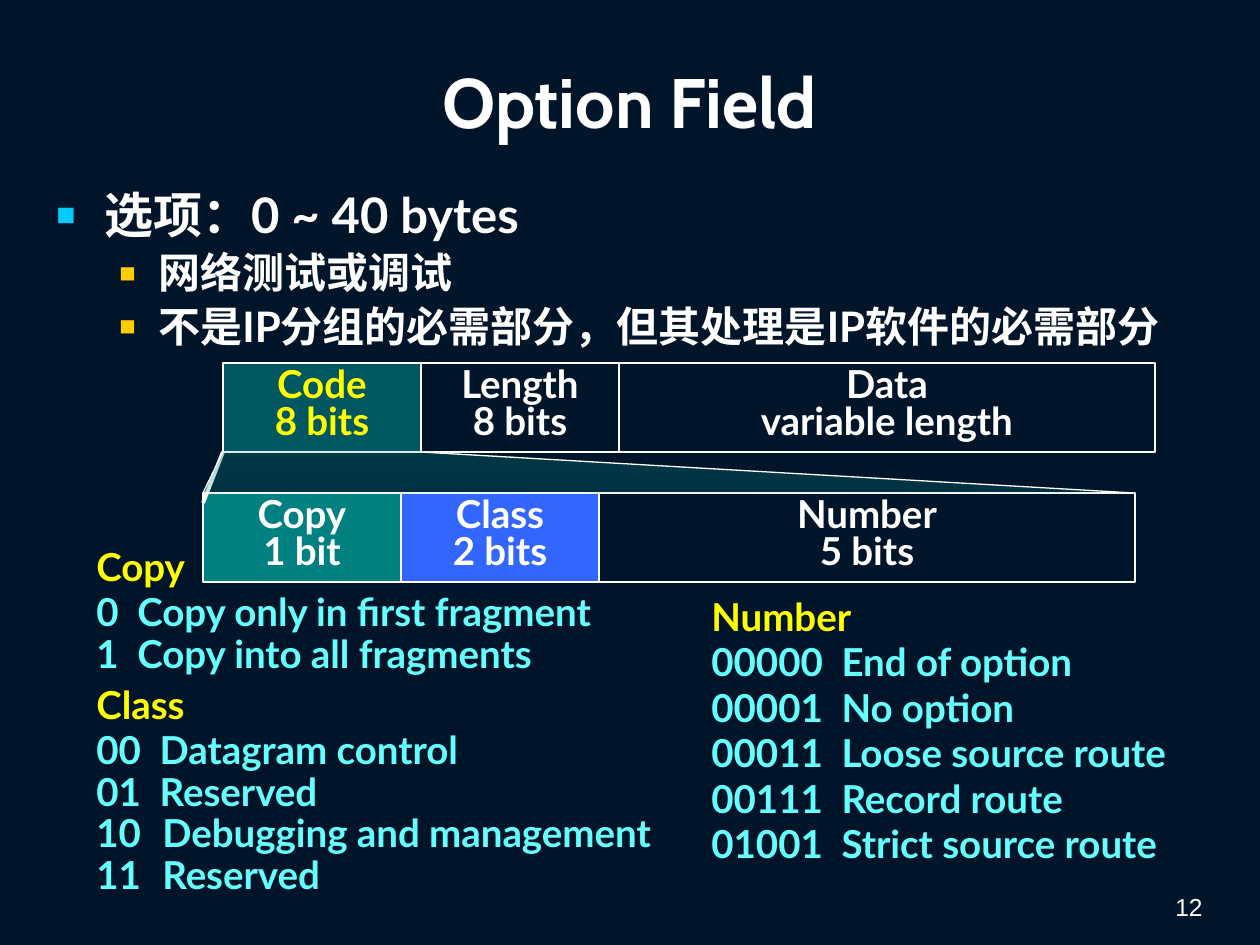
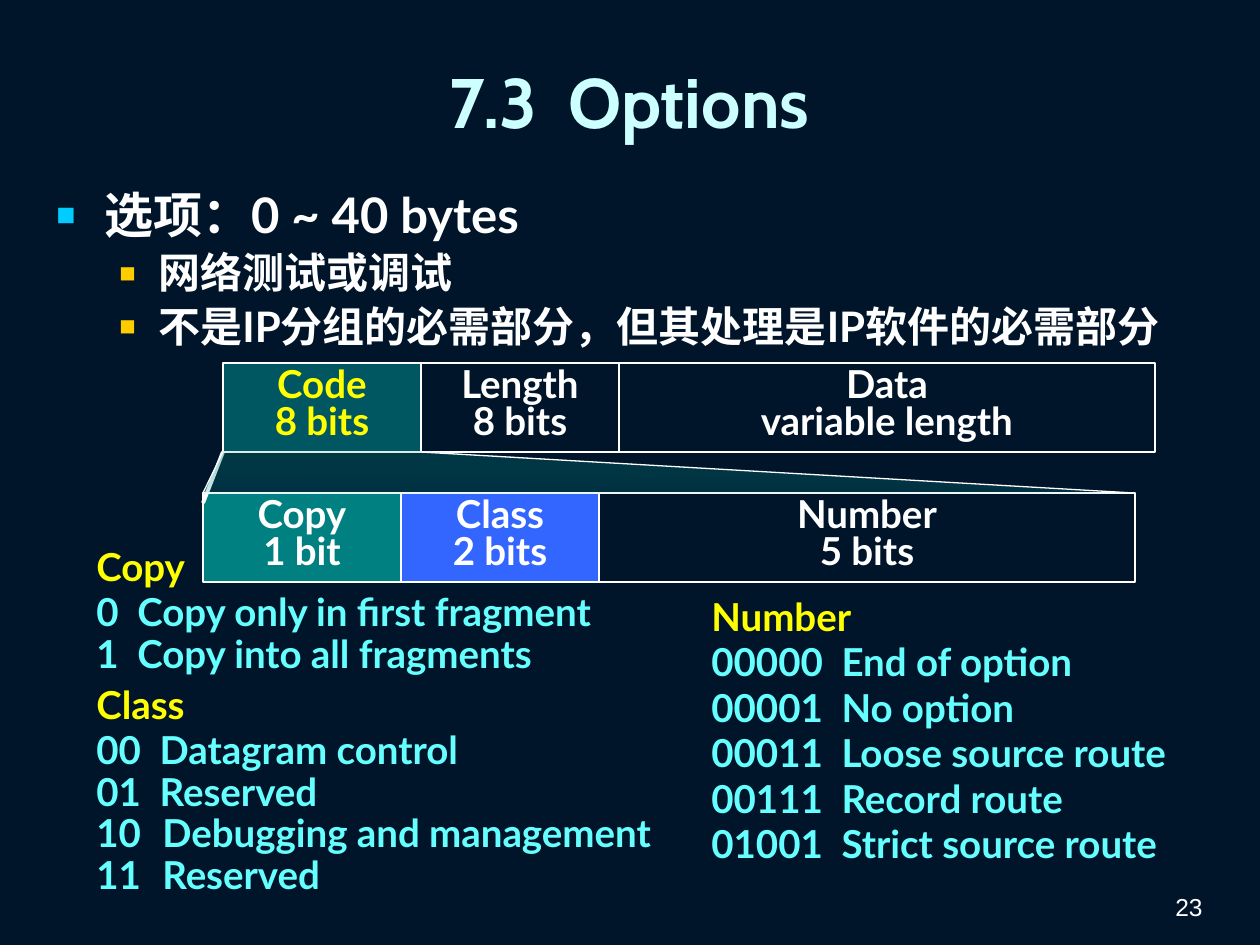
"""Build two slides on the IP option field."""
from dataclasses import dataclass
from typing import Optional, Sequence

from lxml.etree import SubElement
from pptx import Presentation
from pptx.dml.color import RGBColor
from pptx.enum.shapes import MSO_CONNECTOR as Connector, MSO_SHAPE as Shape
from pptx.enum.text import MSO_ANCHOR as Anchor, PP_ALIGN as Align
from pptx.oxml.ns import qn
from pptx.util import Emu, Pt

EMU_PER_PX = 914400 / 126


@dataclass(frozen=True)
class Theme:
    """Colours, fonts and type sizes of the deck."""
    background: str = "00152A"
    white: str = "FFFFFF"
    pale: str = "CCFFFF"
    heading: str = "FFFF00"
    item: str = "66FFFF"
    code: str = "009999"
    copy: str = "008080"
    option_class: str = "3366FF"
    funnel_top: str = "006D6D"
    bullet: str = "00CCFF"
    sub_bullet: str = "FFCC00"
    title_font: str = "Cabin"
    text_font: str = "Lato"
    number_font: str = "Arial"
    title_size: int = 40
    body_size: int = 28
    sub_size: int = 24
    label_size: int = 22
    number_size: int = 14


THEME = Theme()


@dataclass(frozen=True)
class Box:
    """A rectangle in px."""
    left: int
    top: int
    width: int
    height: int

    def emu(self) -> tuple[Emu, ...]:
        """Give the four lengths in EMU."""
        return tuple(px(n) for n in (self.left, self.top, self.width, self.height))


@dataclass(frozen=True)
class Line:
    """One paragraph and its format."""
    text: str
    ink: str = THEME.white
    size: int = THEME.label_size
    font: str = THEME.text_font
    bold: bool = True
    align: Align = Align.LEFT
    leading: float = 1.0
    before: int = 0
    after: int = 0
    margin: int = 0
    hanging: int = 0
    bullet: Optional[str] = None
    start: Optional[int] = None


@dataclass(frozen=True)
class Field:
    """One cell of a field diagram."""
    name: str
    length: str
    width: int
    fill: Optional[str] = None
    ink: str = THEME.white
    opacity: int = 100


@dataclass(frozen=True)
class Topic:
    """What differs from slide to slide."""
    title: str
    ink: str
    number: str


NARROW, WIDE, ROW_HEIGHT = 198, 536, 89
OPTION_LEFT, OPTION_TOP = 223, 363
CODE_LEFT, CODE_TOP = 203, 493
TITLE_BOX = Box(44, 16, 1171, 169)
BODY_BOX = Box(44, 185, 1171, 208)
NUMBER_BOX = Box(921, 869, 294, 59)

TOPICS = (Topic("Option Field", THEME.white, "12"),
          Topic("7.3  Options", THEME.pale, "23"))

OPTION_FIELDS = (
    Field("Code", "8 bits", NARROW, THEME.code, THEME.heading, 50),
    Field("Length", "8 bits", NARROW),
    Field("Data", "variable length", WIDE),
)
CODE_FIELDS = (
    Field("Copy", "1 bit", NARROW, THEME.copy),
    Field("Class", "2 bits", NARROW, THEME.option_class),
    Field("Number", "5 bits", WIDE),
)


def sub_point(text: str) -> Line:
    """Make a second-level bullet."""
    return Line(text, size=THEME.sub_size, leading=0.9, before=20, margin=102,
                hanging=39, bullet=THEME.sub_bullet)


def heading(text: str) -> Line:
    """Make the heading of a code list."""
    return Line(text, THEME.heading, leading=0.9, after=10)


def item(text: str, after: int = 0, start: Optional[int] = None) -> Line:
    """Make an entry of a code list, numbered if it has a start."""
    hanging = 66 if start else 0
    return Line(text, THEME.item, leading=0.9, after=after, margin=hanging,
                hanging=hanging, start=start)


BODY = (
    Line("选项：0 ~ 40 bytes", size=THEME.body_size, leading=0.9, before=30,
         margin=48, hanging=48, bullet=THEME.bullet),
    sub_point("网络测试或调试"),
    sub_point("不是IP分组的必需部分，但其处理是IP软件的必需部分"),
)
CODE_LISTS = (
    (Box(84, 542, 576, 142), (
        heading("Copy"),
        item("0  Copy only in first fragment"),
        item("1  Copy into all fragments"))),
    (Box(84, 680, 635, 226), (
        heading("Class"),
        item("00  Datagram control"),
        item("01  Reserved"),
        item("Debugging and management", start=10),
        item("Reserved", start=10))),
    (Box(699, 592, 496, 285), (
        heading("Number"),
        *(item(text, after=10) for text in (
            "00000  End of option", "00001  No option",
            "00011  Loose source route", "00111  Record route",
            "01001  Strict source route")))),
)


def px(length: int) -> Emu:
    """Turn px into EMU."""
    return Emu(round(length * EMU_PER_PX))


def rgb(code: str) -> RGBColor:
    """Turn a hex code into a colour."""
    return RGBColor.from_string(code)


def format_paragraph(para, line: Line) -> None:
    """Apply spacing, indent, bullet and font, in schema order."""
    para.alignment = line.align
    para.line_spacing = line.leading
    props = para._p.get_or_add_pPr()
    props.set("marL", str(px(line.margin)))
    props.set("indent", str(px(-line.hanging)))
    for tag, percent in (("a:spcBef", line.before), ("a:spcAft", line.after)):
        SubElement(SubElement(props, qn(tag)), qn("a:spcPct"), val=str(percent * 1000))
    if line.bullet:
        SubElement(SubElement(props, qn("a:buClr")), qn("a:srgbClr"), val=line.bullet)
        SubElement(props, qn("a:buSzPct"), val="65000")
        SubElement(props, qn("a:buFont"), typeface=THEME.number_font)
        SubElement(props, qn("a:buChar"), char="■")
    elif line.start:
        SubElement(props, qn("a:buAutoNum"), type="arabicPlain", startAt=str(line.start))
    else:
        SubElement(props, qn("a:buNone"))
    font = para.font
    font.name, font.size, font.bold = line.font, Pt(line.size), line.bold
    font.color.rgb = rgb(line.ink)


def write(shape, lines: Sequence[Line], anchor: Anchor = Anchor.TOP) -> None:
    """Fill a shape with paragraphs."""
    frame = shape.text_frame
    frame.word_wrap = True
    frame.vertical_anchor = anchor
    for index, line in enumerate(lines):
        para = frame.add_paragraph() if index else frame.paragraphs[0]
        para.text = line.text
        format_paragraph(para, line)


def add_text(page, box: Box, lines: Sequence[Line], anchor: Anchor = Anchor.TOP) -> None:
    """Add a text box."""
    write(page.shapes.add_textbox(*box.emu()), lines, anchor)


def set_outline(shape, width: float) -> None:
    """Give a shape a white line."""
    shape.line.color.rgb = rgb(THEME.white)
    shape.line.width = Pt(width)


def set_opacity(shape, *percents: int) -> None:
    """Set the opacity of the fill colours in order."""
    for color, percent in zip(shape.element.spPr.iter(qn("a:srgbClr")), percents):
        SubElement(color, qn("a:alpha"), val=str(percent * 1000))


def add_fields(page, left: int, top: int, fields: Sequence[Field]) -> None:
    """Draw a row of adjoining fields."""
    for field in fields:
        box = Box(left, top, field.width, ROW_HEIGHT)
        cell = page.shapes.add_shape(Shape.RECTANGLE, *box.emu())
        cell.shadow.inherit = False
        if field.fill:
            cell.fill.solid()
            cell.fill.fore_color.rgb = rgb(field.fill)
            set_opacity(cell, field.opacity)
        else:
            cell.fill.background()
        set_outline(cell, 1.5)
        write(cell, [Line(text, field.ink, align=Align.CENTER, leading=0.8)
                     for text in (field.name, field.length)])
        left += field.width


def add_funnel(page) -> None:
    """Link the code field to its enlarged row."""
    bottom = OPTION_TOP + ROW_HEIGHT
    edge = page.shapes.add_connector(
        Connector.STRAIGHT, px(OPTION_LEFT), px(bottom), px(CODE_LEFT), px(CODE_TOP + 10))
    set_outline(edge, 2.25)
    SubElement(edge.element.spPr, qn("a:effectLst"))

    code_right = CODE_LEFT + sum(field.width for field in CODE_FIELDS)
    outline = page.shapes.build_freeform(OPTION_LEFT, bottom, scale=EMU_PER_PX)
    outline.add_line_segments([(CODE_LEFT, CODE_TOP), (code_right, CODE_TOP),
                               (OPTION_LEFT + NARROW, bottom)], close=True)
    funnel = outline.convert_to_shape()
    funnel.shadow.inherit = False
    funnel.fill.gradient()
    funnel.fill.gradient_angle = 270
    for stop, color in zip(funnel.fill.gradient_stops, (THEME.funnel_top, THEME.code)):
        stop.color.rgb = rgb(color)
    set_opacity(funnel, 40, 20)
    set_outline(funnel, 0.75)


def add_page(deck, topic: Topic) -> None:
    """Add one slide."""
    page = deck.slides.add_slide(deck.slide_layouts.get_by_name("Title Only"))
    title = page.shapes.title
    title.left, title.top, title.width, title.height = TITLE_BOX.emu()
    write(title, [Line(topic.title, topic.ink, THEME.title_size, THEME.title_font,
                       align=Align.CENTER)], Anchor.MIDDLE)
    add_text(page, NUMBER_BOX, [Line(topic.number, size=THEME.number_size, bold=False,
                                     font=THEME.number_font, align=Align.RIGHT)],
             Anchor.BOTTOM)
    add_text(page, BODY_BOX, BODY)
    add_fields(page, OPTION_LEFT, OPTION_TOP, OPTION_FIELDS)
    add_fields(page, CODE_LEFT, CODE_TOP, CODE_FIELDS)
    for box, lines in CODE_LISTS:
        add_text(page, box, lines)
    add_funnel(page)


def main() -> None:
    """Build and save the deck."""
    deck = Presentation()
    deck.slide_width, deck.slide_height = px(1260), px(945)
    fill = deck.slide_master.background.fill
    fill.solid()
    fill.fore_color.rgb = rgb(THEME.background)
    for topic in TOPICS:
        add_page(deck, topic)
    deck.save("out.pptx")


if __name__ == "__main__":
    main()
